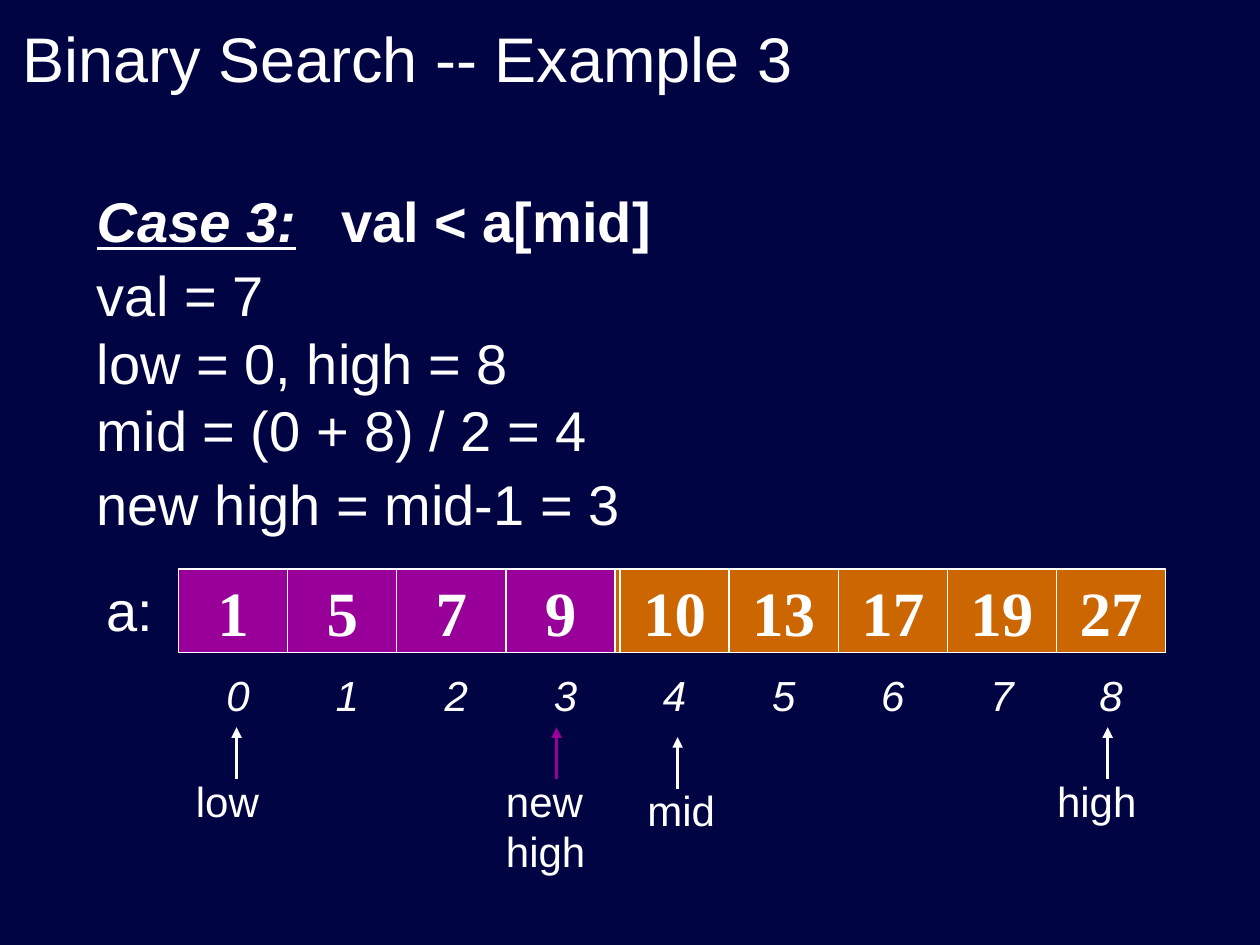
from lxml import etree
from pptx import Presentation
from pptx import util as u
from pptx.dml.color import RGBColor
from pptx.enum import shapes, text
from pptx.oxml.ns import qn

# Content
TITLE = "Binary Search -- Example 3"
CASE = ("Case 3:", "\tval < a[mid]")
STEPS = ["val = 7", "low = 0, high = 8", "mid = (0 + 8) / 2 = 4"]
RESULT = "new high = mid-1 = 3"
VALUES = [1, 5, 7, 9, 10, 13, 17, 19, 27]
KEPT = 4  # cells that stay in the search range
# label, label left, label width, arrow x, drop, arrow colour (cm)
POINTERS = [
    ("low", 3.7, 2.54, 4.77, 0, "ink"),
    ("new high", 9.95, 2.97, 11.22, 0, "kept"),
    ("mid", 12.8, 1.9, 13.66, 0.2, "ink"),
    ("high", 21.06, 2.97, 22.33, 0, "ink"),
]

# Theme
THEME = {
    "back": RGBColor(0x01, 0x04, 0x42),
    "ink": RGBColor(0xFF, 0xFF, 0xFF),
    "cell": RGBColor(0xCC, 0x66, 0x00),
    "kept": RGBColor(0x99, 0x00, 0x99),
    "title": {"name": "Arial", "size": u.Pt(36)},
    "body": {"name": "Arial", "size": u.Pt(32)},
    "case": {"name": "Arial", "size": u.Pt(32), "bold": True},
    "value": {"name": "Times New Roman", "size": u.Pt(36), "bold": True},
    "label": {"name": "Arial", "size": u.Pt(24)},
    "index": {"name": "Arial", "size": u.Pt(24), "italic": True},
}

# Array grid (cm)
CELL_W, CELL_H = 2.2, 1.69
ROW_X, KEPT_X, ROW_Y = 3.7, 3.6, 11.47

prs = Presentation()
prs.slide_width, prs.slide_height = u.Cm(25.4), u.Cm(19.05)
slide = prs.slides.add_slide(prs.slide_layouts[1])
slide.background.fill.solid()
slide.background.fill.fore_color.rgb = THEME["back"]


def place(sp, box):
    for name, value in zip(("left", "top", "width", "height"), box):
        setattr(sp, name, u.Cm(value))


def add_run(p, words, style, **extra):
    r = p.add_run()
    r.text = words
    for name, value in {**THEME[style], **extra}.items():
        setattr(r.font, name, value)
    r.font.color.rgb = THEME["ink"]


def write(sp, lines, style, align=text.PP_ALIGN.LEFT,
          anchor=text.MSO_ANCHOR.TOP, wrap=True):
    tf = sp.text_frame
    frame = {"word_wrap": wrap, "vertical_anchor": anchor,
             "auto_size": text.MSO_AUTO_SIZE.NONE}
    for name, value in frame.items():
        setattr(tf, name, value)
    for i, words in enumerate(lines):
        p = tf.add_paragraph() if i else tf.paragraphs[0]
        p.alignment, p.space_before = align, u.Pt(0)
        add_run(p, words, style)


def add_label(box, words, style, **layout):
    sp = slide.shapes.add_textbox(*map(u.Cm, box))
    write(sp, [words], style, **layout)


CENTRED = {"align": text.PP_ALIGN.CENTER,
           "anchor": text.MSO_ANCHOR.MIDDLE, "wrap": False}


def add_cell(x, words, colour):
    sp = slide.shapes.add_shape(shapes.MSO_SHAPE.RECTANGLE,
                                *map(u.Cm, (x, ROW_Y, CELL_W, CELL_H)))
    sp.shadow.inherit = False
    sp.fill.solid()
    sp.fill.fore_color.rgb = THEME[colour]
    sp.line.color.rgb, sp.line.width = THEME["ink"], u.Pt(0.75)
    if words:
        write(sp, [words], "value", **CENTRED)


def add_arrow(x, start, end, colour):
    cn = slide.shapes.add_connector(shapes.MSO_CONNECTOR.STRAIGHT,
                                    *map(u.Cm, (x, start, x, end)))
    cn.line.color.rgb, cn.line.width = THEME[colour], u.Pt(2)
    etree.SubElement(cn.line._get_or_add_ln(), qn("a:tailEnd"), type="triangle")
    etree.SubElement(cn._element.spPr, qn("a:effectLst"))


# Title
title = slide.shapes.title
place(title, (0.2, 0.2, 21.6, 1.9))
write(title, [TITLE], "title", anchor=text.MSO_ANCHOR.MIDDLE)

# Case heading, with a tab stop before the condition
case = slide.shapes.add_textbox(*map(u.Cm, (1.7, 3.63, 12.06, 1.6)))
case.text_frame.word_wrap = True
p = case.text_frame.paragraphs[0]
tabs = etree.SubElement(p._p.get_or_add_pPr(), qn("a:tabLst"))
etree.SubElement(tabs, qn("a:tab"), pos=str(u.Cm(4.93)), algn="l")
add_run(p, CASE[0], "case", italic=True, underline=True)
add_run(p, CASE[1], "case")

# Steps and result
body = slide.placeholders[1]
place(body, (1.7, 5.13, 11.43, 4.32))
write(body, STEPS, "body")
for p in body.text_frame.paragraphs:
    pPr = p._p.get_or_add_pPr()
    pPr.set("marL", "0")
    pPr.set("indent", "0")
    etree.SubElement(pPr, qn("a:buNone"))
add_label((1.7, 9.35, 11.23, 1.63), RESULT, "body")

# Array: the kept cells sit slightly left, over a blank cell that closes the gap
add_label((1.9, ROW_Y, 1.7, 1.63), "a:", "body")
add_cell(ROW_X + (KEPT - 1) * CELL_W, "", "cell")
for i, value in enumerate(VALUES):
    x = ROW_X + i * CELL_W
    if i < KEPT:
        add_cell(KEPT_X + i * CELL_W, str(value), "kept")
    else:
        add_cell(x, str(value), "cell")
    add_label((x, ROW_Y + CELL_H, CELL_W, CELL_H), str(i), "index", **CENTRED)

# Pointers
for words, x, width, arrow_x, drop, colour in POINTERS:
    height = 1.27 * len(words.split())
    add_label((x, 15.5 + drop, width, height), words, "label")
    add_arrow(arrow_x, 15.7 + drop, 14.66 + drop, colour)

prs.save("out.pptx")
